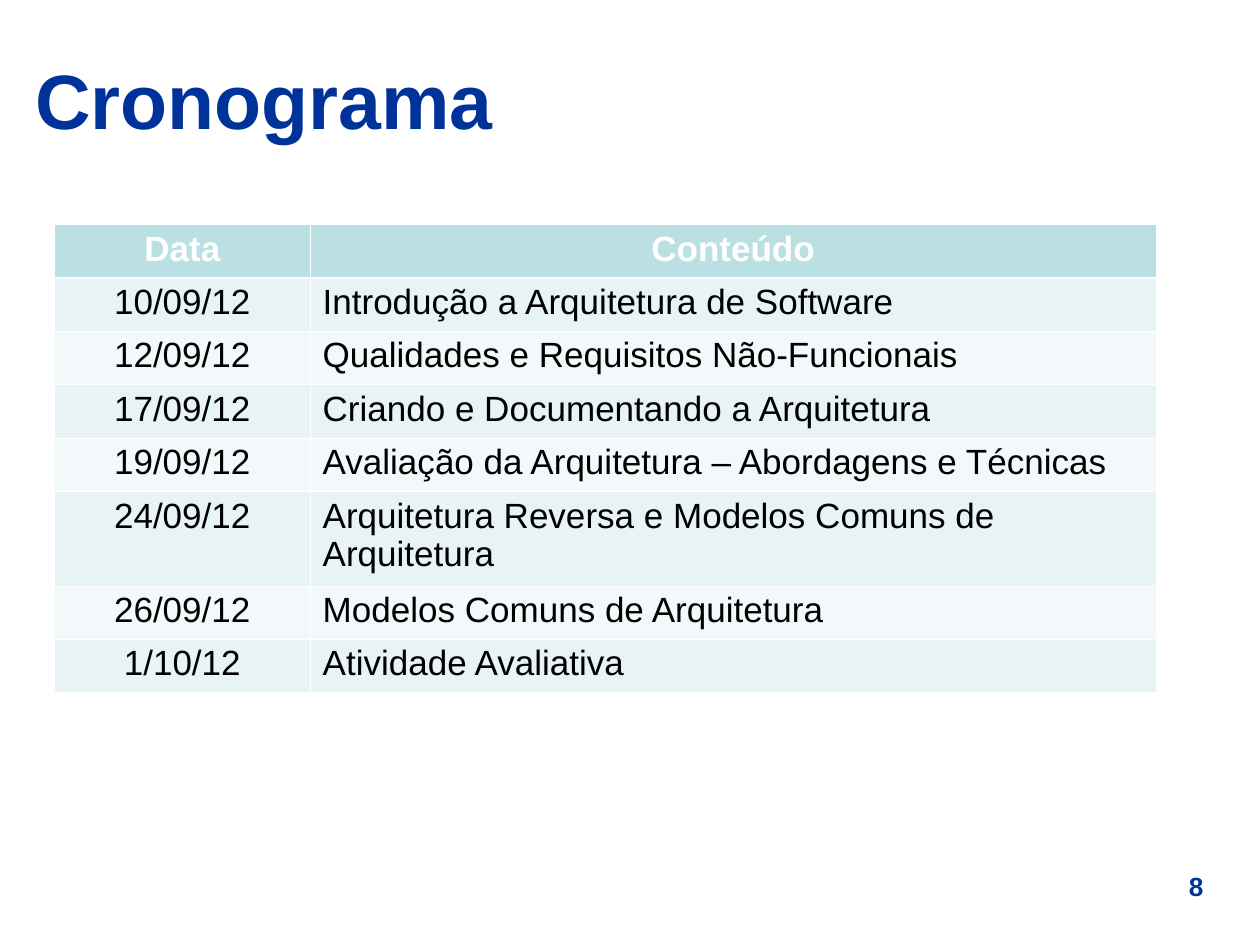
from dataclasses import dataclass

from lxml import etree
from pptx import Presentation
from pptx.dml.color import RGBColor
from pptx.enum.text import MSO_ANCHOR, PP_ALIGN
from pptx.oxml.ns import qn
from pptx.util import Pt

LEFT = PP_ALIGN.LEFT
CENTER = PP_ALIGN.CENTER
JUSTIFY = PP_ALIGN.JUSTIFY
TOP = MSO_ANCHOR.TOP
MIDDLE = MSO_ANCHOR.MIDDLE


@dataclass(frozen=True)
class Theme:
    font: str = "Arial"
    navy: str = "003399"
    white: str = "FFFFFF"
    black: str = "000000"
    header_fill: str = "BBE0E3"
    row_fills: tuple = ("E7F3F4", "F3F9FA")
    title_size: int = 44
    table_size: int = 20
    number_size: int = 15
    thin_rule: float = 0.45
    header_rule: float = 1.47
    table_spacing: float = 0.97


THEME = Theme()
COLUMN_WIDTHS = (146, 483.5)
LINE_HEIGHT = 24
HEADINGS = ("Data", "Conteúdo")
SCHEDULE = (
    ("10/09/12", "Introdução a Arquitetura de Software", JUSTIFY, 1),
    ("12/09/12", "Qualidades e Requisitos Não-Funcionais", JUSTIFY, 1),
    ("17/09/12", "Criando e Documentando a Arquitetura", LEFT, 1),
    ("19/09/12", "Avaliação da Arquitetura – Abordagens e Técnicas", JUSTIFY, 1),
    ("24/09/12", "Arquitetura Reversa e Modelos Comuns de Arquitetura", LEFT, 2),
    ("26/09/12", "Modelos Comuns de Arquitetura", LEFT, 1),
    ("1/10/12", "Atividade Avaliativa", LEFT, 1),
)


def write_text(frame, wording, size, color, bold, align, spacing=1.0):
    paragraph = frame.paragraphs[0]
    paragraph.alignment = align
    paragraph.line_spacing = spacing
    run = paragraph.add_run()
    run.text = wording
    font_format = {"name": THEME.font, "size": Pt(size), "bold": bold}
    for attribute, setting in font_format.items():
        setattr(run.font, attribute, setting)
    run.font.color.rgb = RGBColor.from_string(color)


def add_label(slide, wording, bounds, size, align, anchor):
    frame = slide.shapes.add_textbox(*map(Pt, bounds)).text_frame
    frame_format = {"word_wrap": True, "vertical_anchor": anchor}
    for attribute, setting in frame_format.items():
        setattr(frame, attribute, setting)
    write_text(frame, wording, size, THEME.navy, True, align)


def set_borders(cell, rules):
    properties = cell._tc.get_or_add_tcPr()
    for position, (side, width) in enumerate(rules.items()):
        line = etree.Element(qn(f"a:{side}"), w=str(Pt(width)))
        fill = etree.SubElement(line, qn("a:solidFill"))
        etree.SubElement(fill, qn("a:srgbClr"), val=THEME.white)
        properties.insert(position, line)


def fill_cell(cell, wording, fill, color, bold, align, top_rule, bottom_rule):
    cell.fill.solid()
    cell.fill.fore_color.rgb = RGBColor.from_string(fill)
    write_text(cell.text_frame, wording, THEME.table_size, color, bold, align,
               THEME.table_spacing)
    set_borders(cell, {"lnL": THEME.thin_rule, "lnR": THEME.thin_rule,
                       "lnT": top_rule, "lnB": bottom_rule})


def add_schedule(slide, left, top):
    row_count = len(SCHEDULE) + 1
    line_count = 1 + sum(lines for *_, lines in SCHEDULE)
    table = slide.shapes.add_table(
        row_count, len(HEADINGS), Pt(left), Pt(top),
        Pt(sum(COLUMN_WIDTHS)), Pt(line_count * LINE_HEIGHT)).table
    for column, width in zip(table.columns, COLUMN_WIDTHS):
        column.width = Pt(width)
    table.rows[0].height = Pt(LINE_HEIGHT)
    for column, heading in enumerate(HEADINGS):
        fill_cell(table.cell(0, column), heading, THEME.header_fill,
                  THEME.white, True, CENTER, THEME.thin_rule, THEME.header_rule)
    for row, (date, topic, topic_align, lines) in enumerate(SCHEDULE, start=1):
        table.rows[row].height = Pt(lines * LINE_HEIGHT)
        fill = THEME.row_fills[(row - 1) % 2]
        top_rule = THEME.header_rule if row == 1 else THEME.thin_rule
        for column, (wording, align) in enumerate(
                ((date, CENTER), (topic, topic_align))):
            fill_cell(table.cell(row, column), wording, fill, THEME.black,
                      False, align, top_rule, THEME.thin_rule)


def main():
    deck = Presentation()
    deck.slide_width, deck.slide_height = Pt(720), Pt(540)
    slide = deck.slides.add_slide(deck.slide_layouts[6])
    add_label(slide, "8", (655, 494, 57, 25), THEME.number_size, CENTER, TOP)
    add_label(slide, "Cronograma", (13, 20, 693, 73), THEME.title_size, LEFT, MIDDLE)
    add_schedule(slide, 31.2, 128.3)
    deck.save("out.pptx")


if __name__ == "__main__":
    main()
